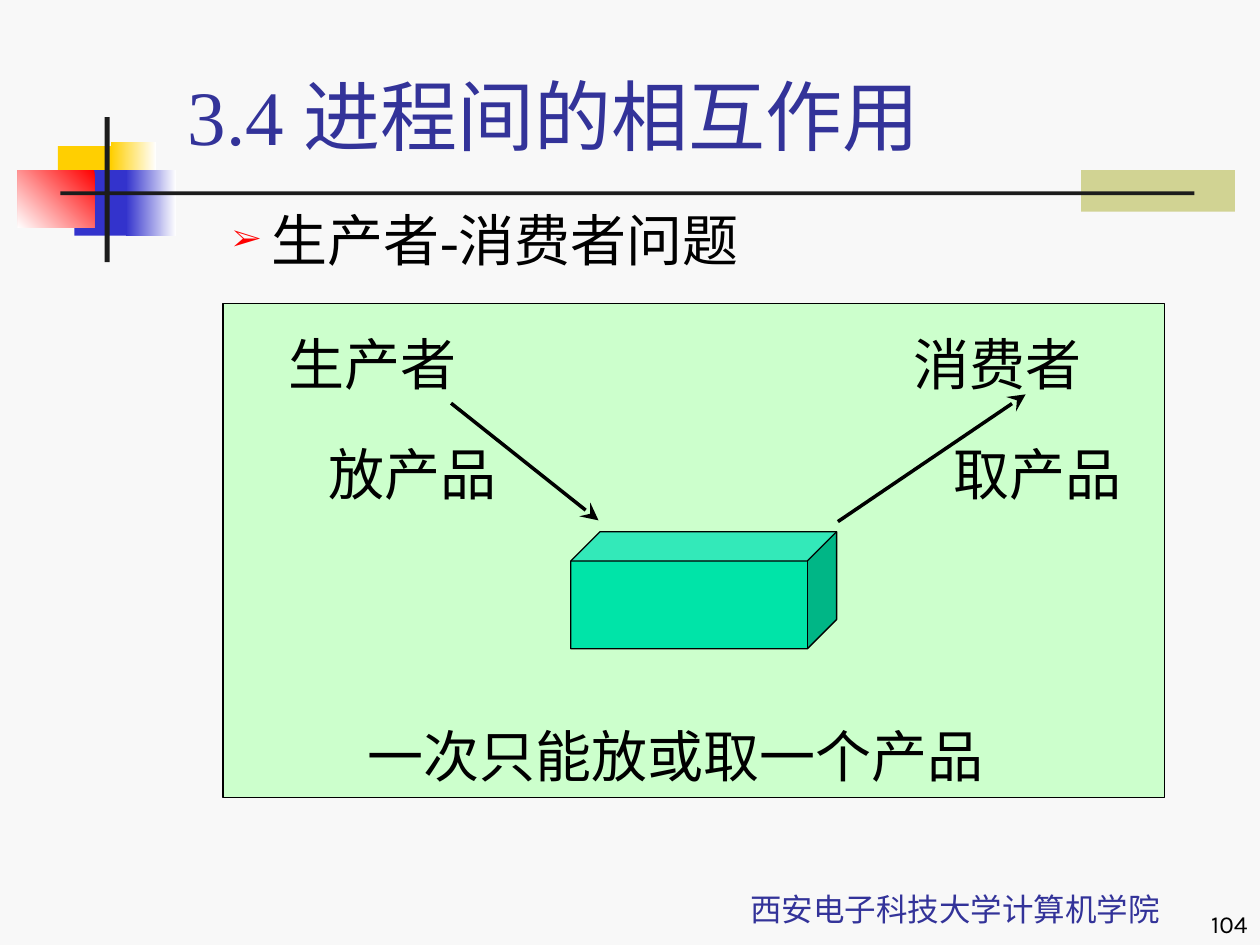
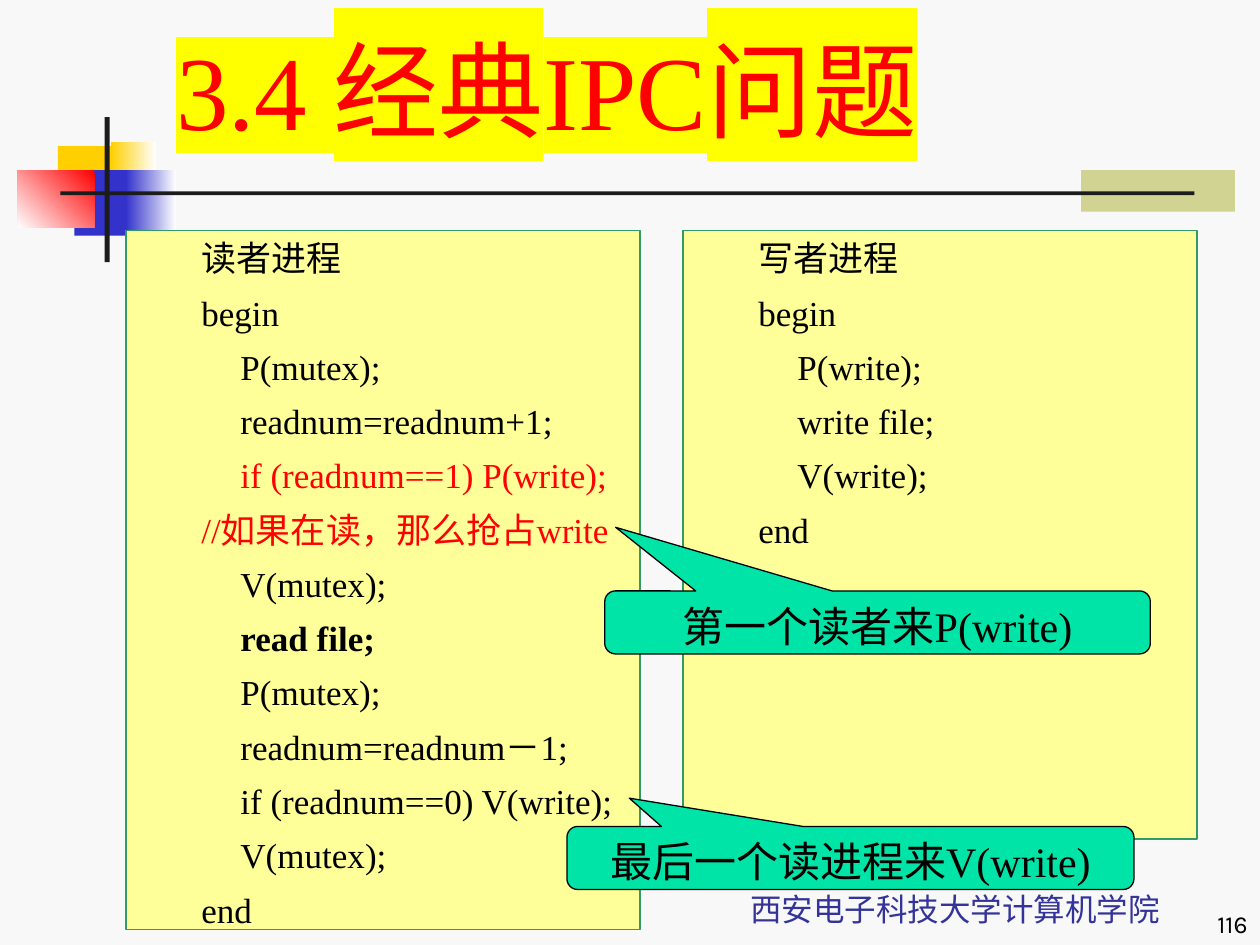
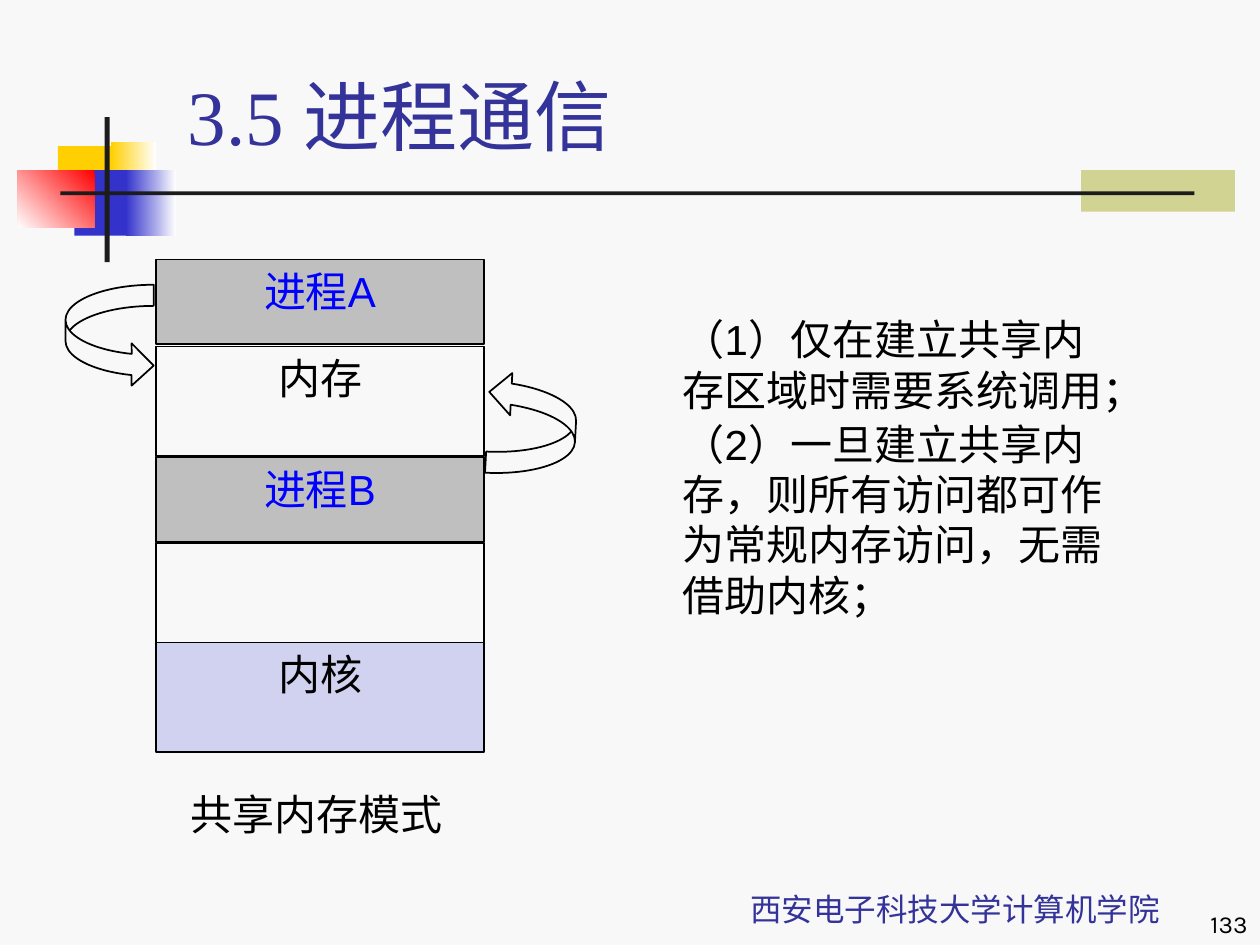
"""Three lecture slides on process interaction, IPC and shared memory."""
from lxml.etree import SubElement
from pptx import Presentation
from pptx.dml.color import RGBColor
from pptx.enum.shapes import MSO_CONNECTOR, MSO_SHAPE
from pptx.enum.text import MSO_ANCHOR, PP_ALIGN
from pptx.oxml.ns import qn
from pptx.util import Inches, Pt

BLACK, RED, BLUE, NAVY = "000000", "FF0000", "0000FF", "333399"
GREEN, YELLOW, MINT = "CCFFCC", "FFFF99", "00E4A8"
SERIF, SANS = "Times New Roman", "Arial"
TEXT_INDENT, HANGING = 0.81, -0.31
colour = RGBColor.from_string


def draw(slide, kind, box, fill=None, line=None, width=0.75, adjust=()):
    """Add a preset shape, or a text box when kind is None."""
    place = [Inches(length) for length in box]
    if kind is None:
        shape = slide.shapes.add_textbox(*place)
    else:
        shape = slide.shapes.add_shape(kind, *place)
        shape.shadow.inherit = False
        if fill:
            shape.fill.solid()
            shape.fill.fore_color.rgb = colour(fill)
        else:
            shape.fill.background()
        if line:
            shape.line.color.rgb = colour(line)
            shape.line.width = Pt(width)
        else:
            shape.line.fill.background()
        for index, value in enumerate(adjust):
            shape.adjustments[index] = value
    shape.text_frame.word_wrap = True
    shape.text_frame.vertical_anchor = MSO_ANCHOR.TOP
    return shape


def write(shape, text, size, ink=BLACK, font=SERIF, align=PP_ALIGN.LEFT,
          before=1, left=0, first=0, bold=False):
    """Add one paragraph to a shape and return it."""
    frame = shape.text_frame
    paragraph = frame.add_paragraph() if frame.text else frame.paragraphs[0]
    paragraph.alignment = align
    paragraph.line_spacing = Pt(1.2 * size)
    paragraph.space_before, paragraph.space_after = Pt(before), Pt(1)
    properties = paragraph._p.get_or_add_pPr()
    properties.set("marL", str(Inches(left)))
    properties.set("indent", str(Inches(first)))
    run = paragraph.add_run()
    run.text = text
    run.font.size, run.font.bold = Pt(size), bold
    run.font.color.rgb = colour(ink)
    run.font.name = font
    return paragraph


deck = Presentation()
deck.slide_width, deck.slide_height = Inches(10), Inches(7.5)

ornaments = [
    ((8.58, 1.35, 1.22, 0.33), ["D1D393"], 0),
    ((0.46, 1.16, 0.48, 0.52), ["FFCF01"], 0),
    ((0.88, 1.13, 0.36, 0.52), ["FFFFFF", "FFCF01"], 180),
    ((0.59, 1.35, 0.46, 0.52), ["3333CC"], 0),
    ((1, 1.35, 0.4, 0.52), ["FFFFFF", "3333CC"], 180),
    ((0.14, 1.35, 0.61, 0.46), ["FF0000", "FFFFFF"], 225),
    ((0.83, 0.93, 0.04, 1.15), ["1C1C1C"], 0),
    ((0.48, 1.52, 9, 0.03), ["1C1C1C"], 0),
]
title_box = (1.39, 0.5, 8.52, 0.83)
pages = [
    ("104", "3.4 进程间的相互作用", title_box, 44, NAVY, None),
    ("116", "3.4 经典IPC问题", (1.3, 0.21, 8.7, 1.04), 60, RED, "FFFF00"),
    ("133", "3.5 进程通信", title_box, 44, NAVY, None),
]
for number, heading, box, size, ink, marker in pages:
    slide = deck.slides.add_slide(deck.slide_layouts[6])
    slide.background.fill.solid()
    slide.background.fill.fore_color.rgb = colour("F8F8F8")
    for place, tones, angle in ornaments:
        ornament = draw(slide, MSO_SHAPE.RECTANGLE, place, tones[0])
        if len(tones) == 2:
            ornament.fill.gradient()
            ornament.fill.gradient_angle = angle
            for stop, tone in zip(ornament.fill.gradient_stops, tones):
                stop.color.rgb = colour(tone)
    school = draw(slide, None, (5.33, 6.83, 4.5, 0.58))
    write(school, "西安电子科技大学计算机学院", 18, NAVY, "Noto Sans CJK SC", PP_ALIGN.CENTER)
    page_number = draw(slide, None, (7.92, 7, 2.08, 0.5))
    write(page_number, number, 14, BLACK, "Karla", PP_ALIGN.RIGHT)
    title = draw(slide, None, box)
    title_line = write(title, heading, size, ink)
    for part in (school, page_number, title):
        part.text_frame.vertical_anchor = MSO_ANCHOR.BOTTOM
    if marker:
        highlight = SubElement(title_line.runs[0]._r.get_or_add_rPr(), qn("a:highlight"))
        SubElement(highlight, qn("a:srgbClr"), val=marker)
        title_line.runs[0]._r.rPr.insert(1, highlight)

producer_slide, readers_slide, memory_slide = deck.slides

topic = draw(producer_slide, None, (1.25, 1.58, 8.5, 0.67))
topic_line = write(topic, "生产者-消费者问题", 32, before=9, left=TEXT_INDENT, first=HANGING)
topic_properties = topic_line._p.get_or_add_pPr()
bullet_colour = SubElement(topic_properties, qn("a:buClr"))
SubElement(bullet_colour, qn("a:srgbClr"), val=RED)
SubElement(topic_properties, qn("a:buSzPct"), val="55000")
SubElement(topic_properties, qn("a:buFont"), typeface=SERIF)
SubElement(topic_properties, qn("a:buChar"), char="➢")

draw(producer_slide, MSO_SHAPE.RECTANGLE, (1.77, 2.41, 7.47, 3.92), GREEN, BLACK)
draw(producer_slide, MSO_SHAPE.CUBE, (4.53, 4.22, 2.11, 0.93), MINT, BLACK, adjust=[0.25])
for ends in [(3.58, 3.2, 4.75, 4.13), (6.65, 4.14, 8.14, 3.13)]:
    arrow = producer_slide.shapes.add_connector(
        MSO_CONNECTOR.STRAIGHT, *[Inches(length) for length in ends])
    arrow.line.color.rgb = colour(BLACK)
    arrow.line.width = Pt(2)
    SubElement(arrow.line._get_or_add_ln(), qn("a:tailEnd"), type="stealth", w="lg", len="lg")
    SubElement(arrow._element.spPr, qn("a:effectLst"))
for label, left, top, width in [
    ("生产者", 1.69, 2.57, 2.03),
    ("消费者", 6.65, 2.57, 2.03),
    ("放产品", 2.01, 3.44, 2.03),
    ("取产品", 6.97, 3.44, 2.03),
    ("一次只能放或取一个产品", 2.32, 5.68, 5.65),
]:
    caption = draw(producer_slide, None, (left, top, width, 0.66))
    caption.text_frame.margin_right = 0
    write(caption, label, 32, before=9, left=TEXT_INDENT + HANGING)

reader_code = [
    "读者进程", "begin", "P(mutex);", "readnum=readnum+1;",
    "if (readnum==1) P(write);", "//如果在读，那么抢占write", "V(mutex);",
    "read file;", "P(mutex);", "readnum=readnum－1;",
    "if (readnum==0) V(write);", "V(mutex);", "end",
]
writer_code = ["写者进程", "begin", "P(write);", "write file;", "V(write);", "end"]
for left, height, code in [(1, 5.55, reader_code), (5.42, 4.83, writer_code)]:
    panel = draw(readers_slide, MSO_SHAPE.RECTANGLE, (left, 1.83, 4.08, height),
                 YELLOW, "339966")
    for statement in code:
        nested = statement.endswith(";")
        alert = statement.startswith("//") or "==1" in statement
        write(panel, statement, 20, RED if alert else BLACK, before=6,
              left=TEXT_INDENT, first=0 if nested else HANGING,
              bold=statement == "read file;")
for remark, box, pointer in [
    ("第一个读者来P(write)", (4.8, 4.69, 4.33, 0.5), (-0.48, -1.51)),
    ("最后一个读进程来V(write)", (4.5, 6.56, 4.5, 0.5), (-0.39, -0.95)),
]:
    callout = draw(readers_slide, MSO_SHAPE.ROUNDED_RECTANGULAR_CALLOUT, box,
                   MINT, BLACK, adjust=[*pointer, 0.17])
    write(callout, remark, 24, align=PP_ALIGN.CENTER)

for region, top, height, fill, ink in [
    ("进程A", 2.06, 0.67, "BFBFBF", BLUE),
    ("进程B", 3.63, 0.67, "BFBFBF", BLUE),
    ("内存", 2.75, 0.87, None, BLACK),
    ("", 4.31, 0.87, None, BLACK),
    ("内核", 5.1, 0.87, "D1D1F0", BLACK),
]:
    block = draw(memory_slide, MSO_SHAPE.RECTANGLE, (1.24, top, 2.6, height), fill, BLACK, 1)
    if region:
        write(block, region, 24, ink, SANS, PP_ALIGN.CENTER)
for left, top, turn in [(0.52, 2.26, 0), (3.87, 2.96, 183)]:
    access = draw(memory_slide, MSO_SHAPE.CURVED_RIGHT_ARROW, (left, top, 0.7, 0.81),
                  line=BLACK, width=1, adjust=[0.24, 0.48, 0.25])
    access.rotation = turn
mode = draw(memory_slide, None, (1.39, 6.21, 2.25, 0.5))
write(mode, "共享内存模式", 24, font=SANS, align=PP_ALIGN.CENTER)
remarks = draw(memory_slide, None, (5.32, 2.02, 3.63, 4.19))
remarks.text_frame.margin_top = Inches(0.47)
for remark in [
    "（1）仅在建立共享内存区域时需要系统调用；",
    "（2）一旦建立共享内存，则所有访问都可作为常规内存访问，无需借助内核；",
]:
    write(remarks, remark, 24, font=SANS)

deck.save("out.pptx")
